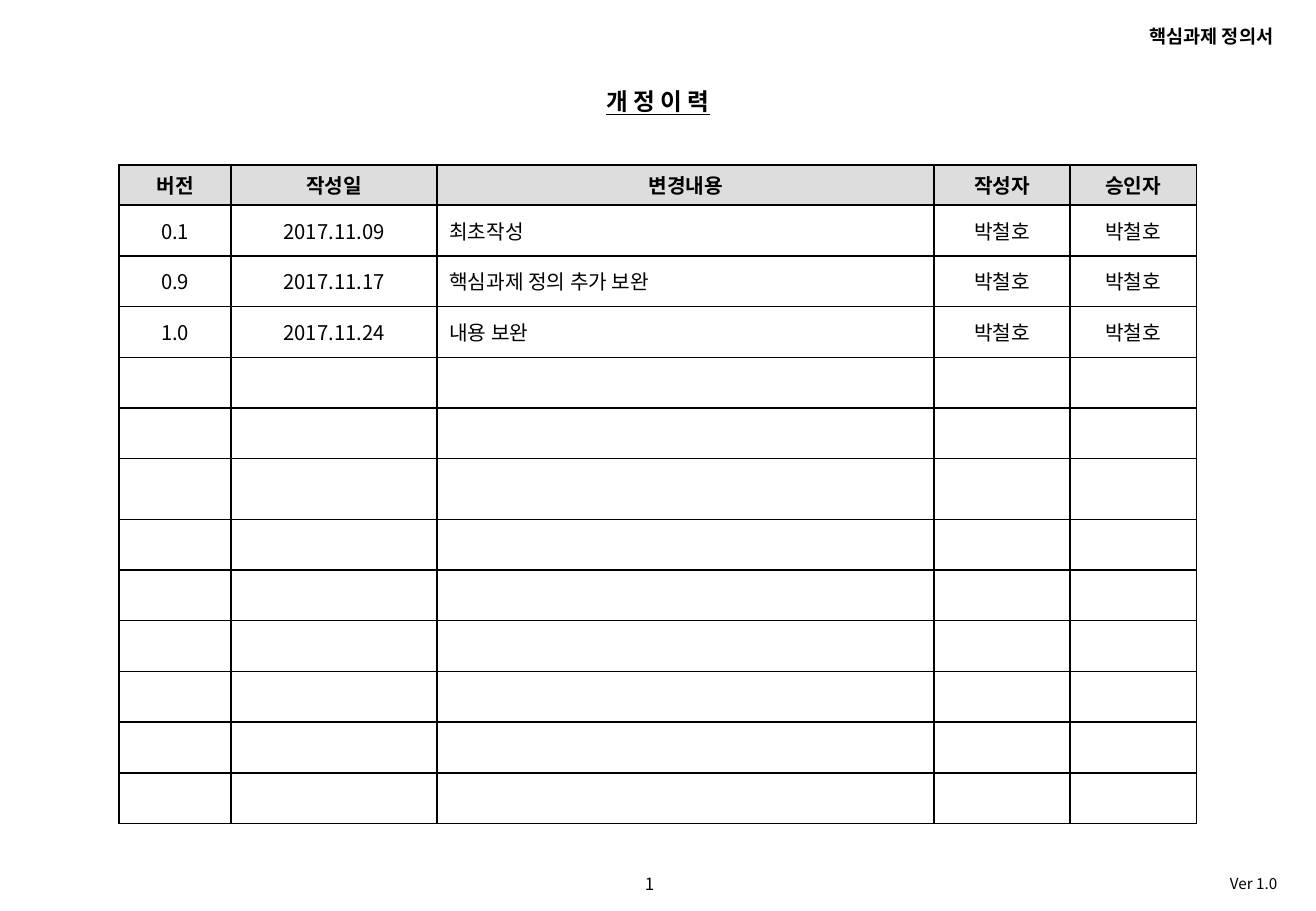
from pptx import Presentation
from pptx import util as u
from pptx.dml.color import RGBColor
from pptx.enum import text
from pptx.oxml import ns, xmlchemy

FONT = "Noto Sans CJK KR"
COLORS = {"ink": "000000", "header": "DDDDDD"}
CENTER, LEFT, RIGHT = text.PP_ALIGN.CENTER, text.PP_ALIGN.LEFT, text.PP_ALIGN.RIGHT


def format_text(paragraph, size, align, bold=False, underline=False):
    paragraph.alignment = align
    for run in paragraph.runs:
        run.font.name = FONT
        run.font.size = u.Pt(size)
        run.font.bold = bold
        run.font.underline = underline
        run.font.color.rgb = RGBColor.from_string(COLORS["ink"])
        east_asian = xmlchemy.OxmlElement("a:ea")
        east_asian.set("typeface", FONT)
        run.font._element.find(ns.qn("a:latin")).addnext(east_asian)


def add_border(cell, side):
    properties = cell._tc.get_or_add_tcPr()
    line = xmlchemy.OxmlElement(f"a:{side}")
    line.set("w", str(u.Pt(1)))
    fill = xmlchemy.OxmlElement("a:solidFill")
    color = xmlchemy.OxmlElement("a:srgbClr")
    color.set("val", COLORS["ink"])
    fill.append(color)
    line.append(fill)
    properties.append(line)


presentation = Presentation()
presentation.slide_width = u.Cm(27.51)
presentation.slide_height = u.Cm(19.05)
slide = presentation.slides.add_slide(presentation.slide_layouts[6])

labels = [
    ("1", (12.4, 18.14, 2.36, 0.69), 10, CENTER, False, False),
    ("Ver 1.0", (16.41, 18.16, 10.54, 0.64), 9, RIGHT, False, False),
    ("핵심과제 정의서", (17.98, 0.38, 8.89, 0.74), 11, RIGHT, True, False),
    ("개 정 이 력", (11.53, 1.7, 4.45, 0.84), 14, CENTER, True, True),
]
for wording, box, size, align, bold, underline in labels:
    shape = slide.shapes.add_textbox(*map(u.Cm, box))
    frame = shape.text_frame
    frame.word_wrap = True
    frame.margin_top = frame.margin_bottom = 0
    frame.vertical_anchor = text.MSO_ANCHOR.MIDDLE
    frame.text = wording
    format_text(frame.paragraphs[0], size, align, bold, underline)

history = [
    ("버전", "작성일", "변경내용", "작성자", "승인자"),
    ("0.1", "2017.11.09", "최초작성", "박철호", "박철호"),
    ("0.9", "2017.11.17", "핵심과제 정의 추가 보완", "박철호", "박철호"),
    ("1.0", "2017.11.24", "내용 보완", "박철호", "박철호"),
]
history += [("",) * 5] * 9
column_widths = [2.34, 4.31, 10.39, 2.84, 2.64]
row_heights = [0.84] + [1.06] * 5 + [1.27] + [1.06] * 6
CHANGE_COLUMN = 2

table = slide.shapes.add_table(
    len(history), len(column_widths), u.Cm(2.49), u.Cm(3.45),
    u.Cm(sum(column_widths)), u.Cm(sum(row_heights))).table
for column, width in zip(table.columns, column_widths):
    column.width = u.Cm(width)
for row, height in zip(table.rows, row_heights):
    row.height = u.Cm(height)

for row_index, entries in enumerate(history):
    is_header = row_index == 0
    for column_index, entry in enumerate(entries):
        cell = table.cell(row_index, column_index)
        cell.margin_top = cell.margin_bottom = 0
        cell.vertical_anchor = text.MSO_ANCHOR.MIDDLE
        for side in ("lnL", "lnR", "lnT", "lnB"):
            add_border(cell, side)
        if is_header:
            cell.fill.solid()
            cell.fill.fore_color.rgb = RGBColor.from_string(COLORS["header"])
        else:
            cell.fill.background()
        if entry:
            cell.text_frame.text = entry
            align = LEFT if column_index == CHANGE_COLUMN and not is_header else CENTER
            format_text(cell.text_frame.paragraphs[0], 12, align, bold=is_header)

presentation.save("out.pptx")
